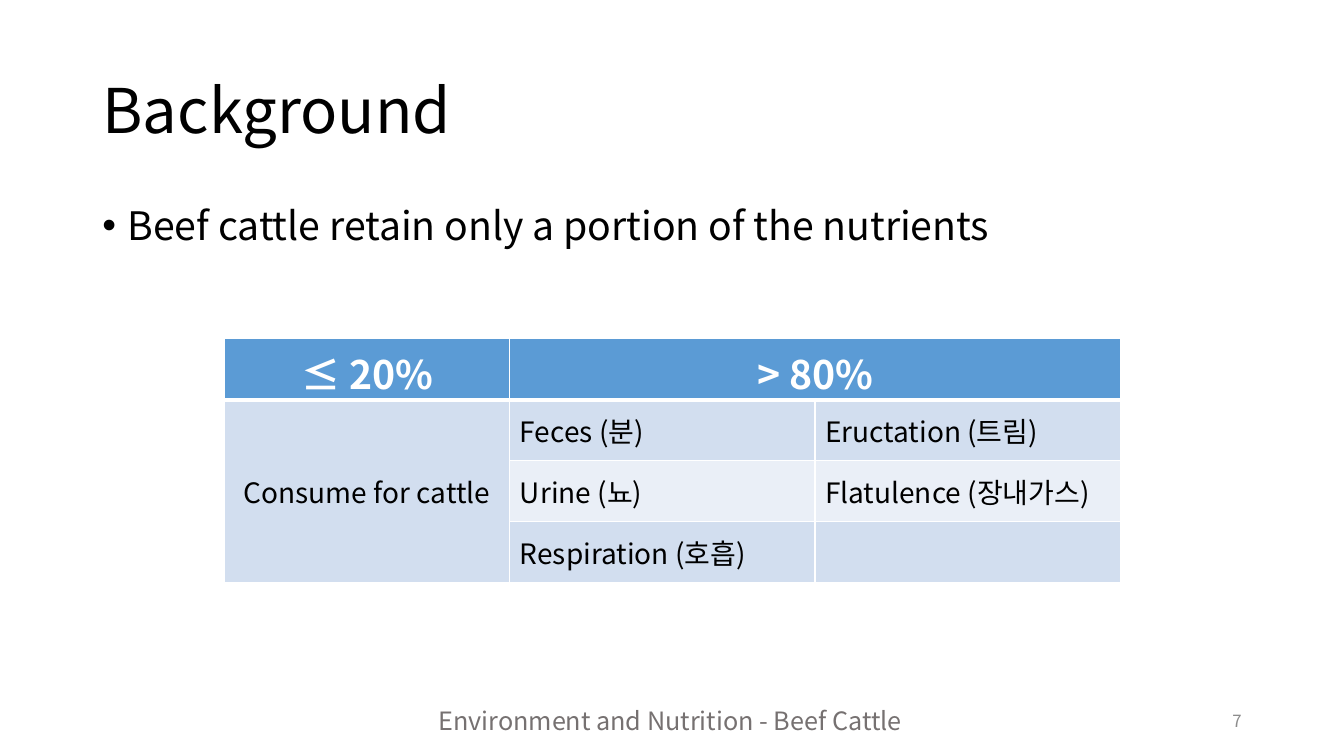
import pptx
import pptx.dml.color
import pptx.enum.text
import pptx.oxml.ns
import pptx.util
from lxml import etree

Pt = pptx.util.Pt
ALIGN = pptx.enum.text.PP_ALIGN
ANCHOR = pptx.enum.text.MSO_ANCHOR
FONT = "Noto Sans CJK KR"

# Content
TITLE = "Background"
BULLET = "Beef cattle retain only a portion of the nutrients"
FOOTER = "Environment and Nutrition - Beef Cattle"
PAGE_NUMBER = "7"
NUTRIENT_ROWS = [
    ["≤ 20%", "> 80%", ""],
    ["Consume for cattle", "Feces (분)", "Eructation (트림)"],
    ["", "Urine (뇨)", "Flatulence (장내가스)"],
    ["", "Respiration (호흡)", ""],
]
MERGES = [((0, 1), (0, 2)), ((1, 0), (3, 0))]

# Layout in points: left, top, width, height
TITLE_BOX = (66, 28.75, 828, 104.4)
BODY_BOX = (66, 143.75, 828, 342.6)
FOOTER_BOX = (306, 500.5, 348, 29)
NUMBER_BOX = (678, 500.5, 216, 28.75)
TABLE_LEFT, TABLE_TOP = 160.2, 242
COLUMN_WIDTHS = [204, 218, 218]
ROW_HEIGHT = 43.6

# Colours
HEADER_FILL = "5B9BD5"
BAND_FILLS = ["EAEFF7", "D2DEEF"]


def color(value):
    return pptx.dml.color.RGBColor.from_string(value)


def add_xml(parent, tag, **attributes):
    return etree.SubElement(parent, pptx.oxml.ns.qn(tag), attributes)


def write(frame, text, size=18, fill="000000", bold=False, align=ALIGN.LEFT,
          anchor=ANCHOR.TOP, line_spacing=None, space_before=0, bullet=None):
    frame.word_wrap = True
    frame.vertical_anchor = anchor
    paragraph = frame.paragraphs[0]
    paragraph.alignment = align
    paragraph.line_spacing = line_spacing
    paragraph.space_before = Pt(space_before)
    if bullet:
        properties = paragraph._p.get_or_add_pPr()
        properties.set("marL", str(Pt(18)))
        properties.set("indent", str(-Pt(18)))
        add_xml(properties, "a:buFont", typeface="Arial")
        add_xml(properties, "a:buChar", char=bullet)
    run = paragraph.add_run()
    run.text = text
    run.font.name = FONT
    run.font.size = Pt(size)
    run.font.bold = bold
    run.font.color.rgb = color(fill)
    add_xml(run._r.get_or_add_rPr(), "a:ea", typeface=FONT)


def add_text(slide, box, text, **text_format):
    shape = slide.shapes.add_textbox(*map(Pt, box))
    write(shape.text_frame, text, **text_format)


def set_borders(cell, bottom_width):
    properties = cell._tc.get_or_add_tcPr()
    widths = {"a:lnL": 1, "a:lnR": 1, "a:lnT": 1, "a:lnB": bottom_width}
    for tag, width in widths.items():
        line = add_xml(properties, tag, w=str(Pt(width)))
        add_xml(add_xml(line, "a:solidFill"), "a:srgbClr", val="FFFFFF")


def add_nutrient_table(slide):
    row_count = len(NUTRIENT_ROWS)
    table = slide.shapes.add_table(
        row_count, len(COLUMN_WIDTHS), Pt(TABLE_LEFT), Pt(TABLE_TOP),
        Pt(sum(COLUMN_WIDTHS)), Pt(ROW_HEIGHT * row_count)).table
    for column, width in zip(table.columns, COLUMN_WIDTHS):
        column.width = Pt(width)
    for row in table.rows:
        row.height = Pt(ROW_HEIGHT)
    for first, last in MERGES:
        table.cell(*first).merge(table.cell(*last))

    for row_index, texts in enumerate(NUTRIENT_ROWS):
        header = row_index == 0
        for column_index, text in enumerate(texts):
            cell = table.cell(row_index, column_index)
            set_borders(cell, 3 if header else 1)
            cell.fill.solid()
            cell.fill.fore_color.rgb = color(
                HEADER_FILL if header else BAND_FILLS[row_index % 2])
            if text:
                centered = header or column_index == 0
                write(cell.text_frame, text, size=28 if header else 20, bold=header,
                      fill="FFFFFF" if header else "000000",
                      align=ALIGN.CENTER if centered else ALIGN.LEFT)
                cell.vertical_anchor = ANCHOR.MIDDLE


def main():
    presentation = pptx.Presentation()
    presentation.slide_width, presentation.slide_height = Pt(960), Pt(540)
    slide = presentation.slides.add_slide(presentation.slide_layouts[5])

    # Title and bullet
    title = slide.shapes.title
    title.left, title.top, title.width, title.height = map(Pt, TITLE_BOX)
    write(title.text_frame, TITLE, size=44, anchor=ANCHOR.MIDDLE, line_spacing=0.9)
    add_text(slide, BODY_BOX, BULLET, size=28, line_spacing=0.9,
             space_before=10, bullet="•")

    # Table
    add_nutrient_table(slide)

    # Footer and page number
    add_text(slide, NUMBER_BOX, PAGE_NUMBER, size=12, fill="8C8C8C",
             align=ALIGN.RIGHT, anchor=ANCHOR.MIDDLE)
    add_text(slide, FOOTER_BOX, FOOTER, size=18, fill="767171")

    presentation.save("out.pptx")


if __name__ == "__main__":
    main()
